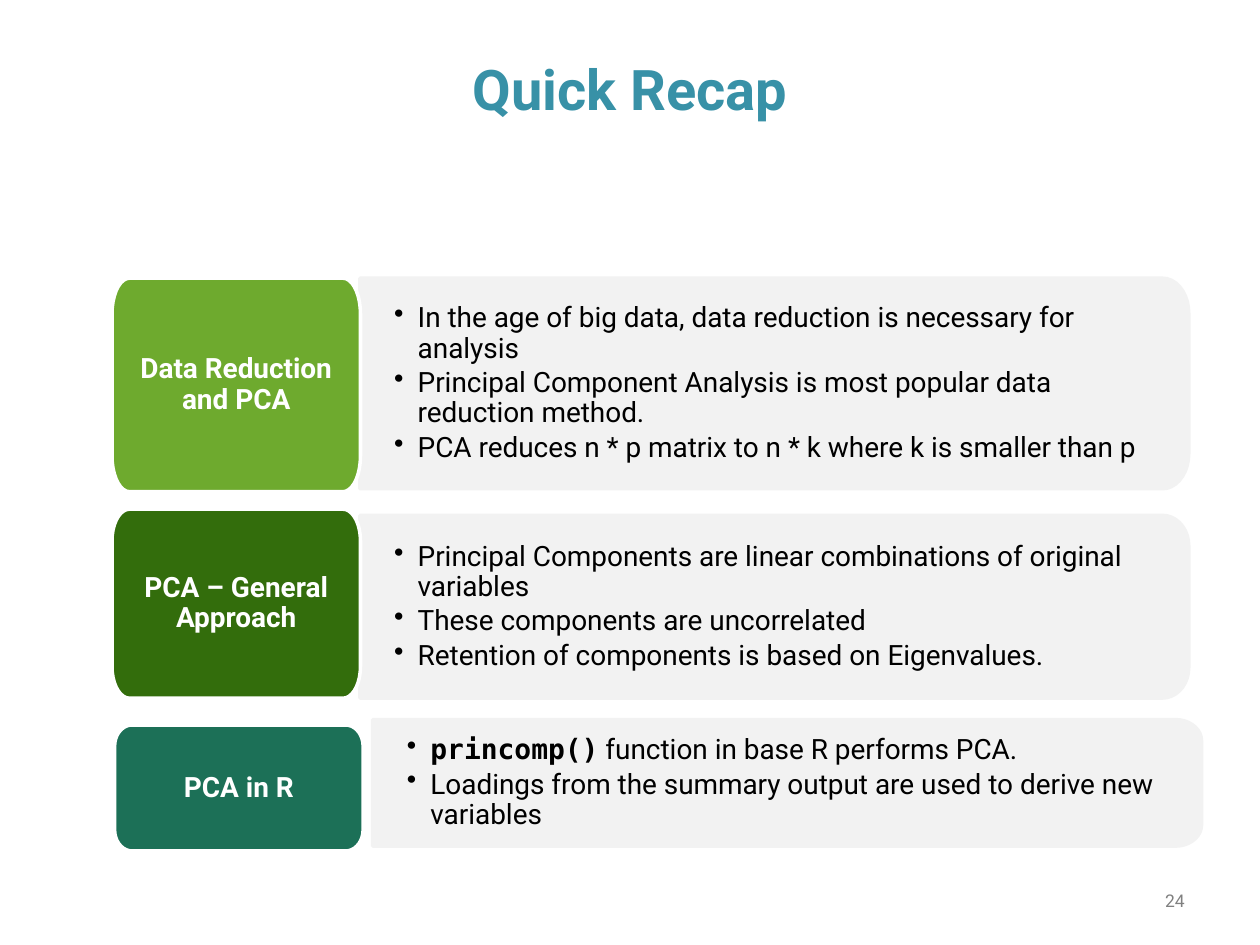
import math
from dataclasses import dataclass

import lxml.etree
import pptx
import pptx.dml.color
import pptx.enum.text
import pptx.oxml.ns
import pptx.util

Pt = pptx.util.Pt
Align = pptx.enum.text.PP_ALIGN


@dataclass(frozen=True)
class Theme:
    font: str = "Roboto"
    code_font: str = "DejaVu Sans Mono"
    title: str = "3891A7"
    page_number: str = "808080"
    panel: str = "F2F2F2"
    white: str = "FFFFFF"
    ink: str = "000000"
    title_size: float = 32
    body_size: float = 16
    number_size: float = 10
    outline: float = 2


THEME = Theme()


@dataclass(frozen=True)
class Box:
    left: float
    top: float
    width: float
    height: float


@dataclass(frozen=True)
class Run:
    text: str
    color: str = THEME.ink
    size: float = THEME.body_size
    bold: bool = False
    font: str = THEME.font


@dataclass(frozen=True)
class Topic:
    heading: str
    color: str
    label: Box
    panel: Box
    points: list[list[Run]]


TOPICS = [
    Topic("Data Reduction and PCA", "6EAA2E",
          Box(64, 159, 142, 122), Box(205.7, 159, 473.6, 120.3),
          [[Run("In the age of big data, data reduction is necessary for analysis")],
           [Run("Principal Component Analysis is most popular data reduction method.")],
           [Run("PCA reduces n * p matrix to n * k where k is smaller than p")]]),
    Topic("PCA – General Approach", "336D0C",
          Box(64, 291, 142, 108), Box(205.7, 294.5, 473.6, 104.4),
          [[Run("Principal Components are linear combinations of original variables")],
           [Run("These components are uncorrelated")],
           [Run("Retention of components is based on Eigenvalues.")]]),
    Topic("PCA in R", "1C7057",
          Box(65.5, 414.3, 142, 72), Box(213, 411.2, 473.6, 72.3),
          [[Run("princomp()", bold=True, font=THEME.code_font),
            Run(" function in base R performs PCA.")],
           [Run("Loadings from the summary output are used to derive new variables")]]),
]


def rgb(color: str) -> pptx.dml.color.RGBColor:
    """Turn a hex code into a colour."""
    return pptx.dml.color.RGBColor.from_string(color)


def add_runs(paragraph, runs: list[Run]) -> None:
    """Append styled runs to a paragraph."""
    for item in runs:
        run = paragraph.add_run()
        run.text = item.text
        run.font.name = item.font
        run.font.size = Pt(item.size)
        run.font.bold = item.bold
        run.font.color.rgb = rgb(item.color)


def set_frame(frame, left: float, top: float, right: float) -> None:
    """Centre text vertically, wrap it and set its insets."""
    frame.word_wrap = True
    frame.vertical_anchor = pptx.enum.text.MSO_ANCHOR.MIDDLE
    frame.margin_left, frame.margin_right = Pt(left), Pt(right)
    frame.margin_top = frame.margin_bottom = Pt(top)


def add_line(slide, box: Box, run: Run, align: Align) -> None:
    """Draw a text box holding one line."""
    shape = slide.shapes.add_textbox(Pt(box.left), Pt(box.top), Pt(box.width), Pt(box.height))
    set_frame(shape.text_frame, 7.2, 3.6, 7.2)
    paragraph = shape.text_frame.paragraphs[0]
    paragraph.alignment = align
    add_runs(paragraph, [run])


def add_rounded(slide, box: Box, left_radius: float, right_radius: float, fill: str, line: str):
    """Draw a box with elliptical corners a sixth of its height deep."""
    radius_y = box.height / 6
    right, bottom = box.left + box.width, box.top + box.height
    corners = [(right - right_radius, bottom - radius_y, right_radius, 0),
               (box.left + left_radius, bottom - radius_y, left_radius, 90),
               (box.left + left_radius, box.top + radius_y, left_radius, 180),
               (right - right_radius, box.top + radius_y, right_radius, 270)]
    outline = []
    for x, y, radius_x, start in corners:
        depth = radius_y if radius_x else 0
        if not radius_x:
            y = bottom if start == 90 else box.top
        for degrees in range(start, start + 91, 10 if radius_x else 90):
            angle = math.radians(degrees)
            outline.append((Pt(x + radius_x * math.cos(angle)), Pt(y + depth * math.sin(angle))))
    builder = slide.shapes.build_freeform(*outline[0])
    builder.add_line_segments(outline[1:], close=True)
    shape = builder.convert_to_shape()
    shape.shadow.inherit = False
    shape.fill.solid()
    shape.fill.fore_color.rgb = rgb(fill)
    shape.line.color.rgb = rgb(line)
    shape.line.width = Pt(THEME.outline)
    return shape


def add_bullet(paragraph) -> None:
    """Give a paragraph a hanging round bullet."""
    properties = paragraph._p.get_or_add_pPr()
    properties.set("marL", str(Pt(13.5)))
    properties.set("indent", str(-Pt(13.5)))
    bullet = lxml.etree.SubElement(properties, pptx.oxml.ns.qn("a:buChar"))
    bullet.set("char", "•")


def add_topic(slide, topic: Topic) -> None:
    """Draw a coloured heading and its panel of points."""
    panel = add_rounded(slide, topic.panel, 0, 15, THEME.panel, THEME.panel)
    set_frame(panel.text_frame, 19.5, 13, 23)
    for index, runs in enumerate(topic.points):
        frame = panel.text_frame
        paragraph = frame.add_paragraph() if index else frame.paragraphs[0]
        add_bullet(paragraph)
        paragraph.alignment = Align.LEFT
        paragraph.line_spacing = 0.9
        paragraph.space_after = Pt(2.4)
        add_runs(paragraph, runs)

    label = add_rounded(slide, topic.label, 10, 10, topic.color, THEME.white)
    set_frame(label.text_frame, 9.4, 6.5, 9.4)
    heading = label.text_frame.paragraphs[0]
    heading.alignment = Align.CENTER
    heading.line_spacing = 0.9
    heading.space_after = Pt(5.6)
    add_runs(heading, [Run(topic.heading, THEME.white, bold=True)])


def main() -> None:
    """Build and save the recap slide."""
    deck = pptx.Presentation()
    deck.slide_width, deck.slide_height = Pt(720), Pt(540)
    slide = deck.slides.add_slide(deck.slide_layouts[6])
    add_line(slide, Box(36, 20, 648, 61),
             Run("Quick Recap", THEME.title, THEME.title_size, bold=True), Align.CENTER)
    add_line(slide, Box(516, 500.5, 168, 28.75),
             Run("24", THEME.page_number, THEME.number_size), Align.RIGHT)
    for topic in TOPICS:
        add_topic(slide, topic)
    deck.save("out.pptx")


if __name__ == "__main__":
    main()
